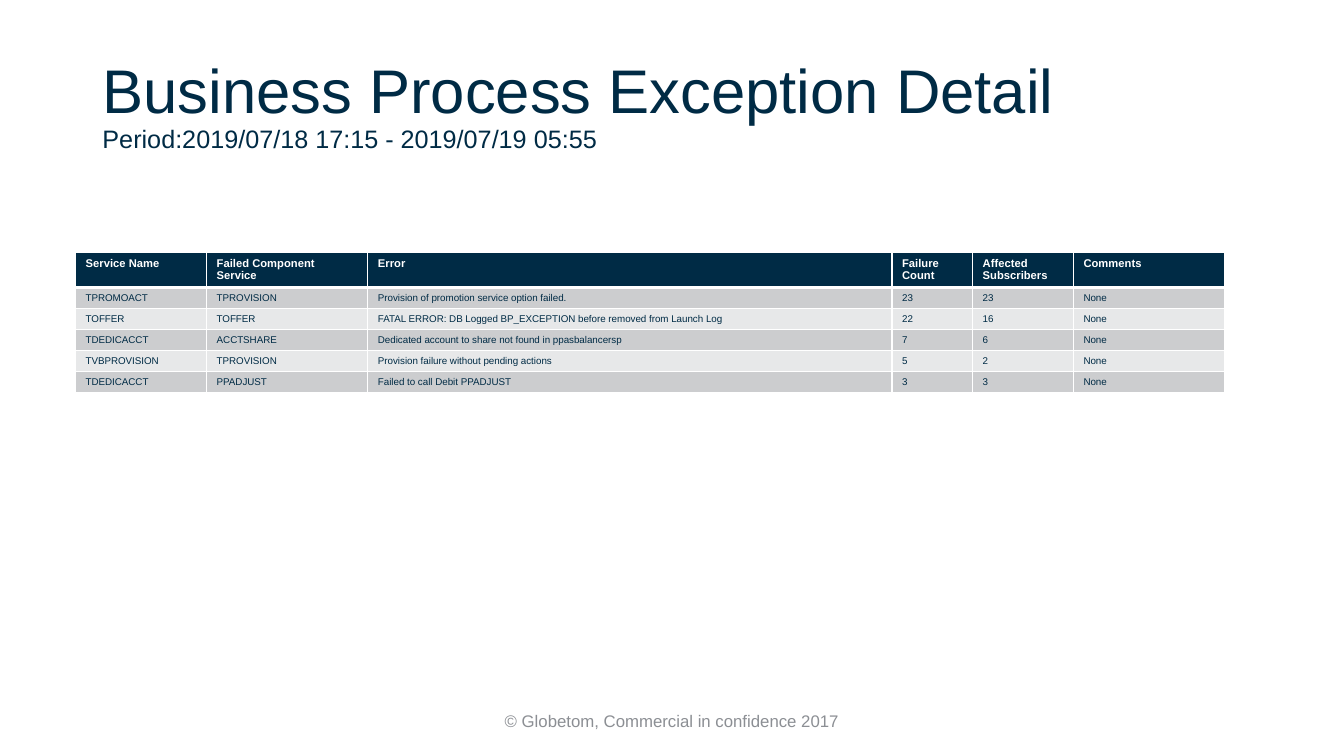
"""Build the business process exception slide on a grid of 160 columns by 90 rows."""
from dataclasses import dataclass

from lxml.etree import SubElement
from pptx import Presentation
from pptx.dml.color import RGBColor
from pptx.enum.text import MSO_ANCHOR, MSO_AUTO_SIZE, PP_ALIGN
from pptx.oxml.ns import qn
from pptx.slide import Slide
from pptx.table import _Cell
from pptx.text.text import Font, TextFrame
from pptx.util import Inches, Length, Pt

NAVY, WHITE, GREY = "002B45", "FFFFFF", "8C8F94"
BANDS = ("CCCDCF", "E7E8E9")
COLUMN_WIDTHS = (15.6, 19.2, 62.4, 9.6, 12, 18)
ROW_HEIGHT = 0.84
HEADINGS = ("Service Name", "Failed Component Service", "Error",
            "Failure Count", "Affected Subscribers", "Comments")


@dataclass(frozen=True)
class Area:
    """A rectangle in grid columns and rows."""
    left: float
    top: float
    width: float
    height: float

    def lengths(self) -> tuple[Length, ...]:
        """Return the rectangle as slide lengths."""
        return tuple(map(grid, (self.left, self.top, self.width, self.height)))


@dataclass(frozen=True)
class Failure:
    """One line of the exception table."""
    service: str
    component: str
    error: str
    count: int
    subscribers: int
    comments: str = "None"

    def texts(self) -> tuple[str, ...]:
        """Return the cell texts in column order."""
        return (self.service, self.component, self.error,
                str(self.count), str(self.subscribers), self.comments)


@dataclass(frozen=True)
class CellStyle:
    """The look of one table row's cells."""
    fill: str
    color: str
    size: float
    bold: bool
    bottom_line: float


TITLE = Area(11, 4, 138, 17.4)
FOOTER = Area(53, 83.4, 54, 4.8)
TABLE = Area(9, 30, sum(COLUMN_WIDTHS), ROW_HEIGHT * 6)
HEADER_STYLE = CellStyle(NAVY, WHITE, 8, True, 3)
BODY_STYLES = tuple(CellStyle(band, NAVY, 7, False, 1) for band in BANDS)
FAILURES = (
    Failure("TPROMOACT", "TPROVISION", "Provision of promotion service option failed.", 23, 23),
    Failure("TOFFER", "TOFFER",
            "FATAL ERROR: DB Logged BP_EXCEPTION before removed from Launch Log", 22, 16),
    Failure("TDEDICACCT", "ACCTSHARE",
            "Dedicated account to share not found in ppasbalancersp", 7, 6),
    Failure("TVBPROVISION", "TPROVISION", "Provision failure without pending actions", 5, 2),
    Failure("TDEDICACCT", "PPADJUST", "Failed to call Debit PPADJUST", 3, 3),
)


def grid(cells: float) -> Length:
    """Turn grid cells into a length."""
    return Inches(cells / 12)


def rgb(color: str) -> RGBColor:
    """Turn a hex string into a colour."""
    return RGBColor.from_string(color)


def set_font(font: Font, color: str, size: float, bold: bool = False) -> None:
    """Apply the deck's typeface with a colour and size."""
    font.name, font.size, font.bold = "Arial", Pt(size), bold
    font.color.rgb = rgb(color)


def set_frame(frame: TextFrame) -> None:
    """Wrap a frame's text and centre it vertically."""
    frame.word_wrap = True
    frame.auto_size = MSO_AUTO_SIZE.NONE
    frame.vertical_anchor = MSO_ANCHOR.MIDDLE


def add_title(page: Slide) -> None:
    """Fill the title placeholder with the heading and period."""
    box = page.shapes.title
    box.left, box.top, box.width, box.height = TITLE.lengths()
    set_frame(box.text_frame)
    para = box.text_frame.paragraphs[0]
    para.text = "Business Process Exception Detail\vPeriod:2019/07/18 17:15 - 2019/07/19 05:55"
    para.alignment, para.line_spacing = PP_ALIGN.LEFT, 0.9
    set_font(para.font, NAVY, 44)
    for span, size in zip(para.runs, (44, 18)):
        set_font(span.font, NAVY, size)


def add_footer(page: Slide) -> None:
    """Add the centred copyright line."""
    frame = page.shapes.add_textbox(*FOOTER.lengths()).text_frame
    set_frame(frame)
    para = frame.paragraphs[0]
    para.text = "© Globetom, Commercial in confidence 2017"
    para.alignment = PP_ALIGN.CENTER
    set_font(para.font, GREY, 12)


def fill_cell(cell: _Cell, text: str, style: CellStyle) -> None:
    """Write one cell with its white borders and fill."""
    properties = cell._tc.get_or_add_tcPr()
    for side, width in zip("LRTB", (1, 1, 1, style.bottom_line)):
        line = SubElement(properties, qn(f"a:ln{side}"), w=str(Pt(width)))
        SubElement(SubElement(line, qn("a:solidFill")), qn("a:srgbClr"), val=WHITE)
    cell.fill.solid()
    cell.fill.fore_color.rgb = rgb(style.fill)
    cell.text = text
    set_font(cell.text_frame.paragraphs[0].font, style.color, style.size, style.bold)


def add_failures(page: Slide) -> None:
    """Add the exception table with banded rows."""
    rows = [(HEADINGS, HEADER_STYLE)]
    rows += [(failure.texts(), BODY_STYLES[index % 2]) for index, failure in enumerate(FAILURES)]
    table = page.shapes.add_table(len(rows), len(HEADINGS), *TABLE.lengths()).table
    for column, width in zip(table.columns, COLUMN_WIDTHS):
        column.width = grid(width)
    for row, (texts, style) in zip(table.rows, rows):
        row.height = grid(ROW_HEIGHT)
        for cell, text in zip(row.cells, texts):
            fill_cell(cell, text, style)


def main() -> None:
    """Build and save the deck."""
    deck = Presentation()
    deck.slide_width, deck.slide_height = grid(160), grid(90)
    page = deck.slides.add_slide(deck.slide_layouts[5])
    add_title(page)
    add_footer(page)
    add_failures(page)
    deck.save("out.pptx")


if __name__ == "__main__":
    main()
